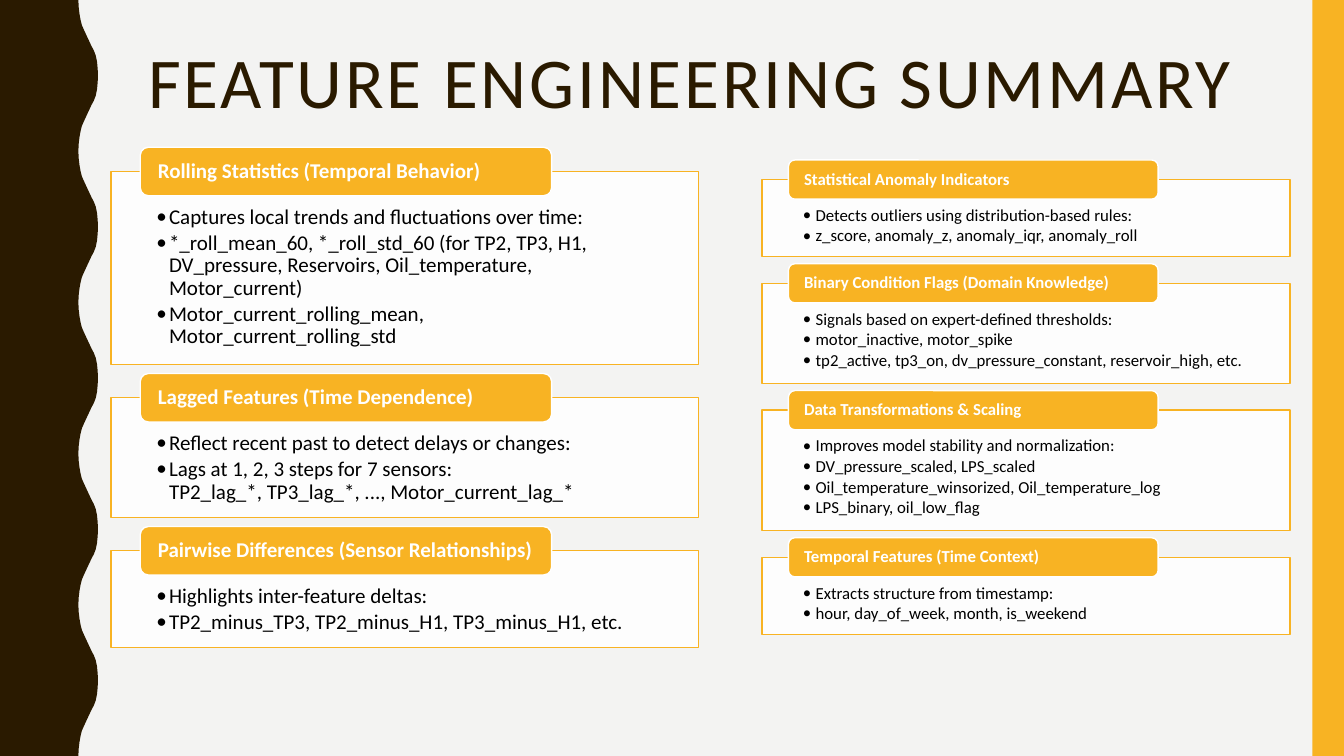
"""Build the feature engineering summary slide."""
from dataclasses import dataclass

from lxml import etree
from pptx import Presentation
from pptx.dml.color import RGBColor
from pptx.enum.shapes import MSO_SHAPE
from pptx.enum.text import MSO_ANCHOR, MSO_AUTO_SIZE, PP_ALIGN
from pptx.oxml.ns import qn
from pptx.util import Pt

RECT, ROUND = MSO_SHAPE.RECTANGLE, MSO_SHAPE.ROUNDED_RECTANGLE
TOP, MIDDLE = MSO_ANCHOR.TOP, MSO_ANCHOR.MIDDLE
LEFT, NO_FIT = PP_ALIGN.LEFT, MSO_AUTO_SIZE.NONE
COLORS = {"page": "F3F3F2", "dark": "2A1A00", "gold": "F8B323",
          "white": "FFFFFF", "black": "000000"}
FONT = "Calibri"
WIDTH, HEIGHT = 960, 540
WAVE_PERIOD = 108
WAVE_UNITS = 100
HALF_WAVE = [(56, 0), (56.2, 5), (56.8, 10), (57.6, 14.4), (58.5, 18),
             (59.8, 21), (61.2, 24), (62.6, 27), (64, 30), (65.4, 33),
             (67, 36), (68.4, 39.6), (69.3, 44), (69.8, 49), (70, 54)]


@dataclass
class Card:
    heading: str
    height: float
    points: list[str]


@dataclass
class Column:
    left: float
    top: float
    width: float
    header: float
    gap: float
    size: float
    inset_top: float
    cards: list[Card]


COLUMNS = [
    Column(79.2, 122.5, 419.8, 34.6, 23.6, 15, 25, [
        Card("Rolling Statistics (Temporal Behavior)", 138, [
            "Captures local trends and fluctuations over time:",
            "*_roll_mean_60, *_roll_std_60 (for TP2, TP3, H1, DV_pressure, "
            "Reservoirs, Oil_temperature, Motor_current)",
            "Motor_current_rolling_mean, Motor_current_rolling_std"]),
        Card("Lagged Features (Time Dependence)", 85.7, [
            "Reflect recent past to detect delays or changes:",
            """Lags at 1, 2, 3 steps for 7 sensors:
TP2_lag_*, TP3_lag_*, ..., Motor_current_lag_*"""]),
        Card("Pairwise Differences (Sensor Relationships)", 69, [
            "Highlights inter-feature deltas:",
            "TP2_minus_TP3, TP2_minus_H1, TP3_minus_H1, etc."]),
    ]),
    Column(544.3, 128.3, 377.3, 28, 19.1, 12, 19.5, [
        Card("Statistical Anomaly Indicators", 55, [
            "Detects outliers using distribution-based rules:",
            "z_score, anomaly_z, anomaly_iqr, anomaly_roll"]),
        Card("Binary Condition Flags (Domain Knowledge)", 71.5, [
            "Signals based on expert-defined thresholds:",
            "motor_inactive, motor_spike",
            "tp2_active, tp3_on, dv_pressure_constant, reservoir_high, etc."]),
        Card("Data Transformations & Scaling", 86, [
            "Improves model stability and normalization:",
            "DV_pressure_scaled, LPS_scaled",
            "Oil_temperature_winsorized, Oil_temperature_log",
            "LPS_binary, oil_low_flag"]),
        Card("Temporal Features (Time Context)", 55, [
            "Extracts structure from timestamp:",
            "hour, day_of_week, month, is_weekend"]),
    ]),
]


def rgb(name: str) -> RGBColor:
    """Return a palette colour."""
    return RGBColor.from_string(COLORS[name])


def paint(sp, fill: str, line: str | None = None, opacity: int = 100) -> None:
    """Set the fill, outline and opacity of a shape."""
    sp.shadow.inherit = False
    sp.fill.solid()
    sp.fill.fore_color.rgb = rgb(fill)
    if opacity < 100:
        color = sp.fill._xPr.find(qn("a:solidFill"))[0]
        etree.SubElement(color, qn("a:alpha"), val=str(opacity * 1000))
    if line:
        sp.line.color.rgb = rgb(line)
        sp.line.width = Pt(1)
    else:
        sp.line.fill.background()


def add_box(shapes, kind, left: float, top: float, width: float,
            height: float, fill: str, **style):
    """Add a painted preset shape."""
    sp = shapes.add_shape(kind, Pt(left), Pt(top), Pt(width), Pt(height))
    paint(sp, fill, **style)
    return sp


def write(sp, lines: list[str], *, size: float, color: str, bold: bool = False,
          anchor=TOP, insets: tuple = (7.2, 3.6, 7.2, 3.6),
          spacing: int = 0, bullets: bool = False) -> None:
    """Write formatted paragraphs into a shape."""
    tf = sp.text_frame
    tf.word_wrap, tf.auto_size, tf.vertical_anchor = True, NO_FIT, anchor
    (tf.margin_left, tf.margin_top,
     tf.margin_right, tf.margin_bottom) = (Pt(v) for v in insets)
    for i, line in enumerate(lines):
        p = tf.add_paragraph() if i else tf.paragraphs[0]
        p.text = line
        p.alignment, p.line_spacing = LEFT, 0.9
        if bullets:
            p.space_after = Pt(round(0.14 * size, 1))
            pPr = p._p.get_or_add_pPr()
            pPr.set("marL", str(Pt(9)))
            pPr.set("indent", str(-Pt(9)))
            etree.SubElement(pPr, qn("a:buFont"), typeface=FONT)
            etree.SubElement(pPr, qn("a:buChar"), char="•")
        for br in p._p.findall(qn("a:br")):
            etree.SubElement(br, qn("a:rPr"), sz=str(int(size * 100)))
        for r in p.runs:
            r.font.name, r.font.size, r.font.bold = FONT, Pt(size), bold
            r.font.color.rgb = rgb(color)
            if spacing:
                r._r.get_or_add_rPr().set("spc", str(spacing * 100))


def add_wave(s) -> None:
    """Draw the dark wavy band on the left edge."""
    full_wave = HALF_WAVE + [(x, WAVE_PERIOD - y) for x, y in HALF_WAVE[-2::-1]]
    edge = [(x * WAVE_UNITS, (y + n * WAVE_PERIOD) * WAVE_UNITS)
            for n in range(HEIGHT // WAVE_PERIOD) for x, y in full_wave]
    builder = s.shapes.build_freeform(0, 0, scale=Pt(1) / WAVE_UNITS)
    builder.add_line_segments(edge + [(0, HEIGHT * WAVE_UNITS)], close=True)
    paint(builder.convert_to_shape(), "dark")


def add_column(s, col: Column) -> None:
    """Stack the cards of one column in a group."""
    shapes = s.shapes.add_group_shape().shapes
    side = 0.0776 * col.width
    top = col.top
    for card in col.cards:
        body = add_box(shapes, RECT, col.left, top, col.width, card.height,
                       "white", line="gold", opacity=90)
        write(body, card.points, size=col.size, color="black", bullets=True,
              insets=(side, col.inset_top, side, 6))
        header = add_box(shapes, ROUND, col.left + 0.05 * col.width,
                         top - col.header / 2, 0.7 * col.width, col.header,
                         "gold", line="white")
        write(header, [card.heading], size=col.size, color="white", bold=True,
              anchor=MIDDLE, insets=(0.026 * col.width, 0, 4, 0))
        top += card.height + col.gap


def main() -> None:
    """Build and save the slide."""
    prs = Presentation()
    prs.slide_width, prs.slide_height = Pt(WIDTH), Pt(HEIGHT)
    s = prs.slides.add_slide(prs.slide_layouts[5])
    s.background.fill.solid()
    s.background.fill.fore_color.rgb = rgb("page")
    add_wave(s)
    add_box(s.shapes, RECT, 937.5, 0, 22.5, HEIGHT, "gold")
    title = s.shapes.title
    title.left, title.top = Pt(98.6), Pt(30.2)
    title.width, title.height = Pt(801.4), Pt(117.4)
    write(title, ["FEATURE ENGINEERING SUMMARY"], size=51, color="dark",
          spacing=2)
    for col in COLUMNS:
        add_column(s, col)
    prs.save("out.pptx")


if __name__ == "__main__":
    main()
